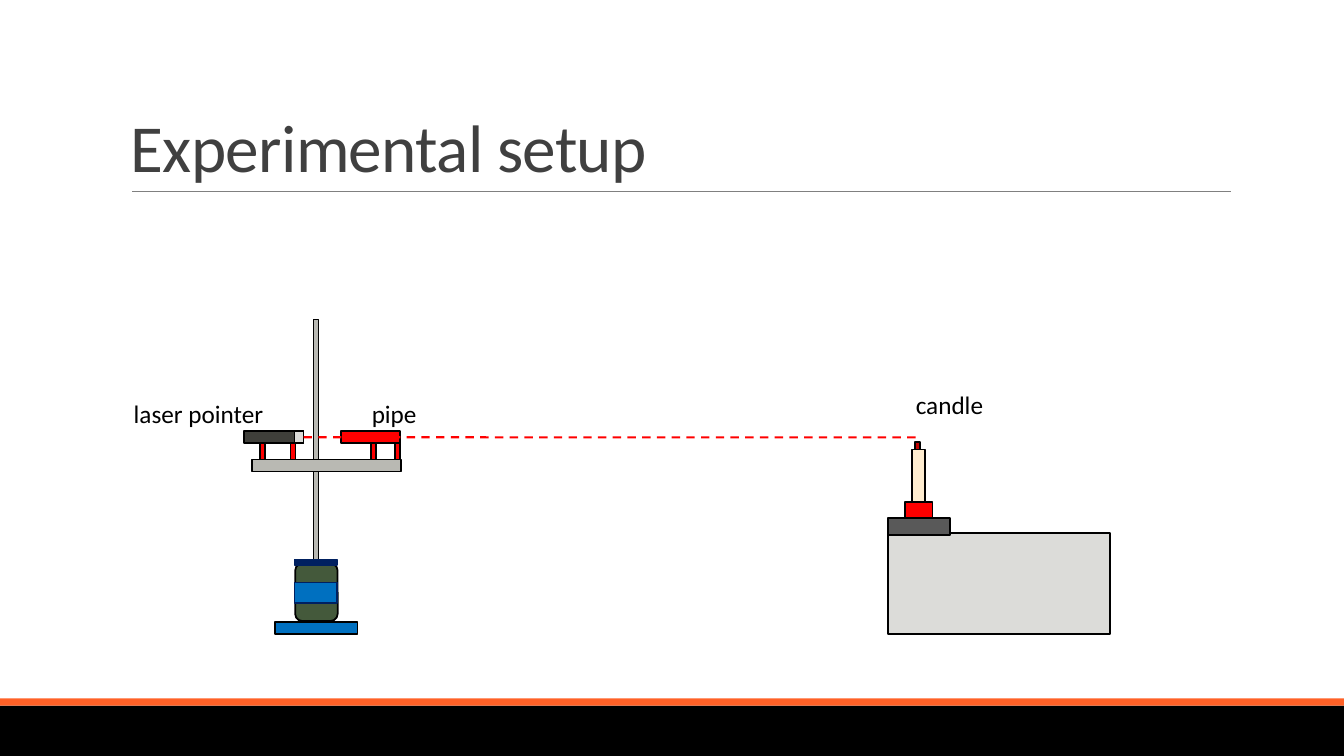
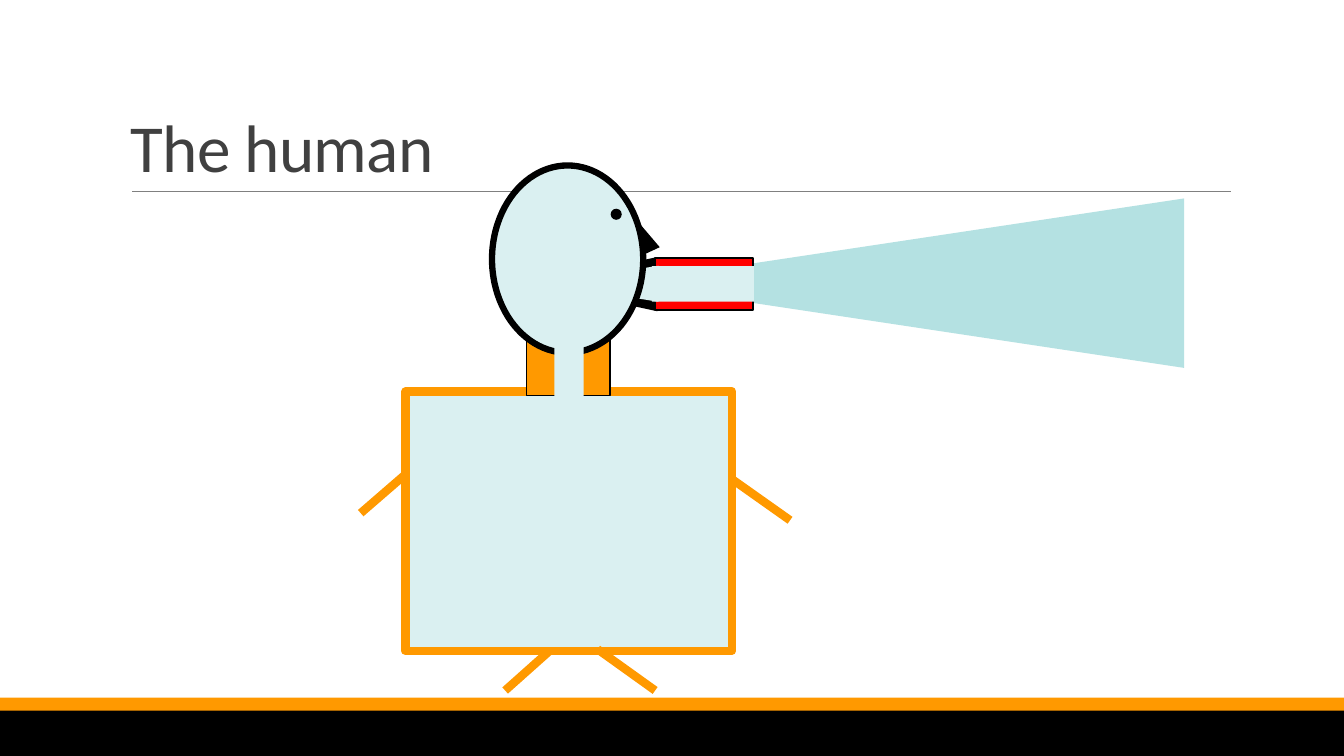
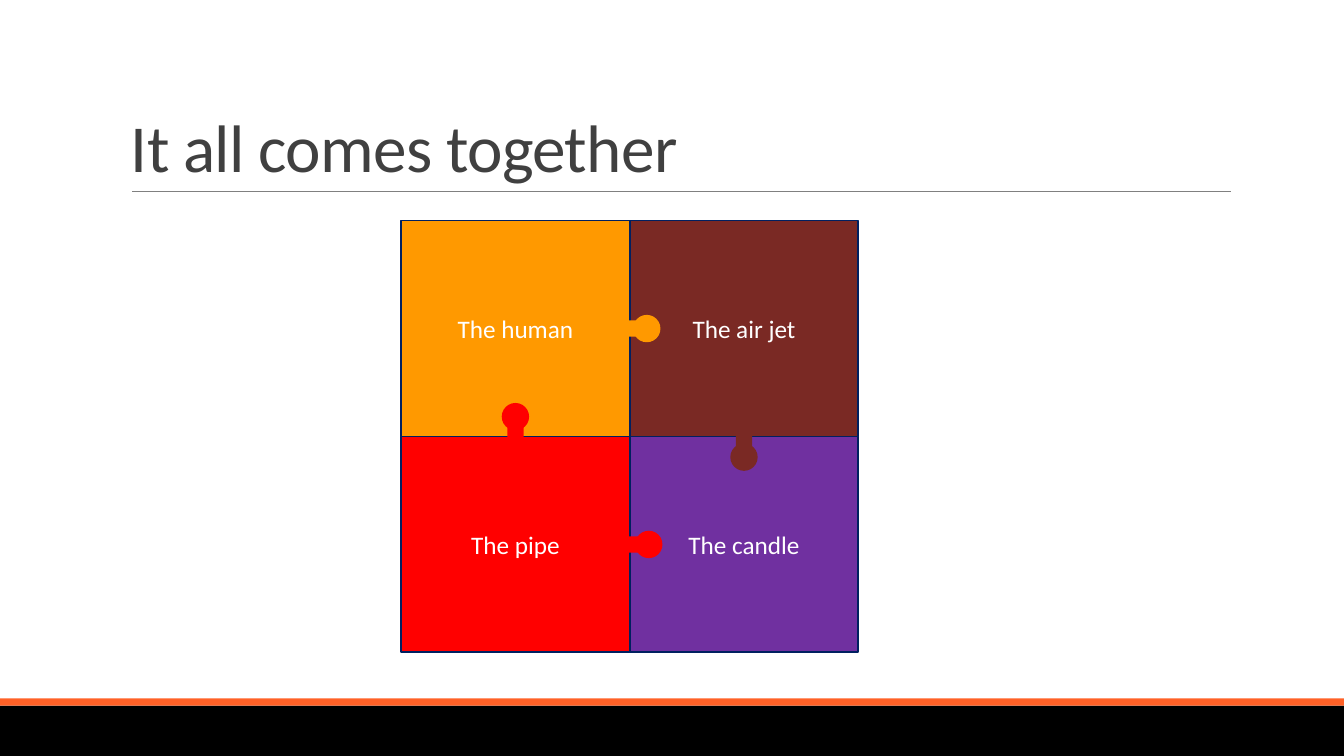
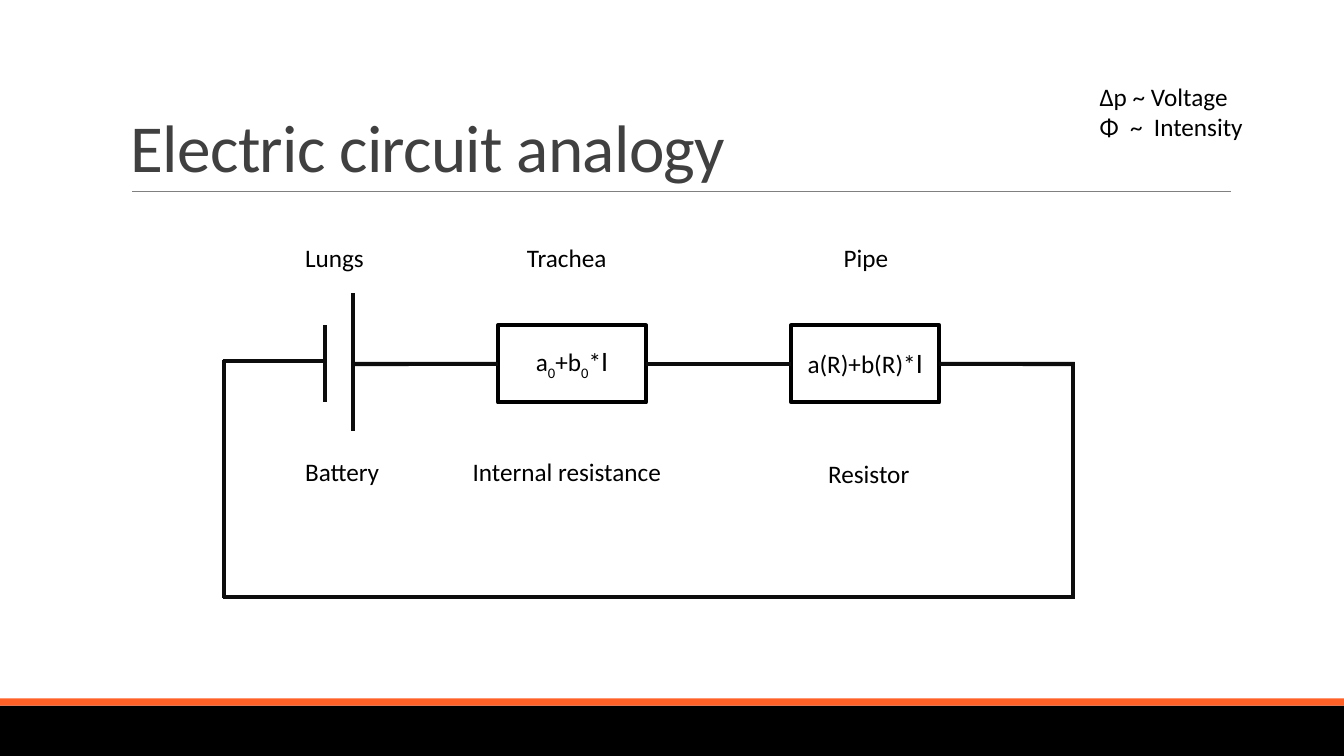
from lxml.etree import SubElement
from pptx import Presentation
from pptx.dml.color import RGBColor
from pptx.enum.dml import MSO_LINE
from pptx.enum.shapes import MSO_CONNECTOR, MSO_SHAPE
from pptx.enum.text import MSO_ANCHOR, PP_ALIGN
from pptx.oxml.ns import qn
from pptx.util import Cm, Pt

BLACK = RGBColor(0x00, 0x00, 0x00)
WHITE = RGBColor(0xFF, 0xFF, 0xFF)
INK = RGBColor(0x40, 0x40, 0x40)
RULE = RGBColor(0x80, 0x80, 0x80)
WIRE = RGBColor(0x0D, 0x0D, 0x0D)
CORAL = RGBColor(0xFF, 0x61, 0x27)
AMBER = RGBColor(0xFF, 0x99, 0x00)
RED = RGBColor(0xFF, 0x00, 0x00)
DEEP = RGBColor(0xC0, 0x00, 0x00)
BROWN = RGBColor(0x7A, 0x29, 0x24)
PURPLE = RGBColor(0x70, 0x30, 0xA0)
BLUE = RGBColor(0x00, 0x70, 0xC0)
NAVY = RGBColor(0x00, 0x20, 0x60)
GREEN = RGBColor(0x44, 0x59, 0x3B)
PALE = RGBColor(0xDC, 0xDC, 0xD9)
STEEL = RGBColor(0xB9, 0xB9, 0xB3)
COAL = RGBColor(0x3F, 0x3F, 0x3A)
SLATE = RGBColor(0x59, 0x59, 0x59)
WAX = RGBColor(0xFF, 0xED, 0xD0)
AIR = RGBColor(0xDA, 0xF0, 0xF1)
JET = RGBColor(0xB4, 0xE1, 0xE2)

RECT = MSO_SHAPE.RECTANGLE
ROUND = MSO_SHAPE.ROUNDED_RECTANGLE
OVAL = MSO_SHAPE.OVAL
TRAP = MSO_SHAPE.TRAPEZOID
PEAK = MSO_SHAPE.ISOSCELES_TRIANGLE

WIDE, HIGH = 33.87, 19.05
LEFT, RIGHT = 1, 3
BODY = {"name": "Calibri", "size": Pt(18)}
HEAD = {"name": "Calibri", "size": Pt(48)}
LATO = {"name": "Lato"}
SUB = -25000


class Deck:
    def __init__(self):
        self.prs = Presentation()
        self.prs.slide_width, self.prs.slide_height = Cm(WIDE), Cm(HIGH)
        self.slide = None

    def start(self, title):
        """Add a slide with its bands, rule and title."""
        self.slide = self.prs.slides.add_slide(self.prs.slide_layouts[6])
        self.shape(0, 17.78, WIDE, 1.27, BLACK, None)
        self.shape(0, 17.6, WIDE, 0.18, CORAL, None)
        self.line((3.33, 4.83), (31.01, 4.83), RULE, 0.5)
        box = self.text(3.05, 0.79, 27.94, 4.04, [title], INK, HEAD)
        box.vertical_anchor = MSO_ANCHOR.BOTTOM
        par = box.paragraphs[0]
        par.line_spacing = 0.85
        par.runs[0]._r.get_or_add_rPr().set("spc", "-50")

    def fill(self, par, parts, ink, style):
        """Fill a paragraph from a string or from (text, style, baseline) parts."""
        if isinstance(parts, str):
            parts = [(parts, {}, 0)]
        for text, extra, base in parts:
            run = par.add_run()
            run.text = text
            for key, value in {**style, **extra}.items():
                setattr(run.font, key, value)
            run.font.color.rgb = ink
            if base:
                run._r.get_or_add_rPr().set("baseline", str(base))

    def text(self, x, y, w, h, lines, ink=BLACK, style=BODY, wrap=True):
        box = self.slide.shapes.add_textbox(Cm(x), Cm(y), Cm(w), Cm(h))
        frame = box.text_frame
        frame.word_wrap = wrap
        for i, parts in enumerate(lines):
            par = frame.add_paragraph() if i else frame.paragraphs[0]
            self.fill(par, parts, ink, style)
        return frame

    def shape(self, x, y, w, h, fill, edge=BLACK, width=1.25, kind=RECT, turn=0):
        item = self.slide.shapes.add_shape(kind, Cm(x), Cm(y), Cm(w), Cm(h))
        item.shadow.inherit = False
        item.rotation = turn
        item.fill.solid()
        item.fill.fore_color.rgb = fill
        if edge is None:
            item.line.fill.background()
        else:
            item.line.color.rgb = edge
            item.line.width = Pt(width)
        return item

    def label(self, item, parts, ink):
        """Centre text inside a shape."""
        frame = item.text_frame
        frame.word_wrap = True
        frame.vertical_anchor = MSO_ANCHOR.MIDDLE
        par = frame.paragraphs[0]
        par.alignment = PP_ALIGN.CENTER
        self.fill(par, parts, ink, BODY)

    def line(self, start, end, ink, width, dash=None, tail=None, head=None):
        """Draw a line; tail and head are (shape, side) joins at start and end."""
        item = self.slide.shapes.add_connector(
            MSO_CONNECTOR.STRAIGHT, *(Cm(n) for n in (*start, *end)))
        SubElement(item._element.spPr, qn("a:effectLst"))
        item.line.color.rgb = ink
        item.line.width = Pt(width)
        if dash:
            item.line.dash_style = dash
        if tail:
            item.begin_connect(*tail)
        if head:
            item.end_connect(*head)

    def tab(self, x, y, dx, dy, reach, fill):
        """Draw a puzzle tab from an edge point towards (dx, dy)."""
        stem = reach - 0.23
        w, h = (0.86, 0.41) if dx else (0.41, 0.86)
        for kind, far, wide, high in ((ROUND, stem, w, h), (OVAL, reach, 0.69, 0.69)):
            self.shape(x + dx * far - wide / 2, y + dy * far - high / 2,
                       wide, high, fill, None, kind=kind)


def setup(deck):
    deck.start("Experimental setup")
    deck.shape(22.38, 13.44, 5.59, 2.54, PALE)
    deck.shape(7.9, 8.05, 0.13, 7.67, STEEL)
    deck.shape(6.35, 11.58, 3.76, 0.3, STEEL)
    deck.shape(6.93, 15.67, 2.08, 0.3, BLUE)
    for x in (6.55, 7.32, 9.35, 9.96):
        deck.shape(x, 11.1, 0.13, 0.48, RED)
    deck.shape(8.59, 10.87, 1.5, 0.3, RED)
    deck.shape(6.15, 10.87, 1.5, 0.3, COAL)
    tip = deck.shape(7.42, 10.87, 0.23, 0.3, PALE)
    deck.line((7.65, 11.02), (23.14, 11.02), RED, 1.5, MSO_LINE.DASH, (tip, RIGHT))

    deck.shape(7.44, 14.2, 1.07, 1.45, GREEN, kind=ROUND)
    deck.shape(7.42, 14.68, 1.07, 0.51, BLUE, NAVY)
    deck.shape(7.42, 14.1, 1.07, 0.13, NAVY, NAVY)

    for x, y, w, name in ((3.12, 9.91, 3.81, "laser pointer"),
                          (9.12, 9.91, 1.65, "pipe"),
                          (22.83, 9.68, 2.24, "candle")):
        deck.text(x, y, w, 1.02, [name], wrap=False)

    deck.shape(22.99, 11.33, 0.33, 2.13, WAX)
    deck.shape(22.81, 12.65, 0.69, 0.79, RED)
    deck.shape(22.38, 13.06, 1.57, 0.43, SLATE)
    deck.shape(23.06, 11.13, 0.13, 0.2, DEEP)


def human(deck):
    deck.start("The human")
    deck.shape(0, 17.58, WIDE, 0.33, AMBER, None)
    deck.shape(15.14, 6.4, 1.32, 1.52, BLACK, kind=TRAP, turn=270)
    deck.shape(20.62, 0.05, 4.27, 14.17, JET, None, kind=PEAK, turn=270)
    deck.shape(16.51, 6.5, 2.46, 1.32, RED)
    deck.shape(16.43, 6.71, 2.57, 0.89, AIR, None)
    deck.shape(15.44, 6.45, 0.91, 1.4, AIR, None, kind=TRAP, turn=270)

    deck.shape(10.22, 9.87, 8.23, 6.53, AIR, AMBER, 6)
    deck.shape(13.27, 8.24, 2.11, 1.73, AMBER)
    deck.shape(12.4, 4.17, 3.81, 4.72, AIR, BLACK, 4.5, OVAL)
    deck.shape(13.97, 8.2, 0.74, 1.8, AIR, None)
    for start, end in (((13.84, 16.41), (12.73, 17.4)),
                       ((15.06, 16.36), (16.51, 17.4)),
                       ((10.21, 11.96), (9.09, 12.93)),
                       ((18.44, 12.07), (19.91, 13.11))):
        deck.line(start, end, AMBER, 6)
    deck.shape(15.39, 5.26, 0.28, 0.28, BLACK, None, kind=OVAL)
    deck.shape(16.08, 5.61, 0.41, 0.74, BLACK, None, kind=PEAK, turn=335.1)


def puzzle(deck):
    deck.start("It all comes together")
    x, y, w, h = 10.11, 5.56, 5.76, 5.44
    tiles = (("The human", AMBER), ("The air jet", BROWN),
             ("The pipe", RED), ("The candle", PURPLE))
    for i, (name, fill) in enumerate(tiles):
        row, col = divmod(i, 2)
        tile = deck.shape(x + col * w, y + row * h, w, h, fill, NAVY)
        deck.label(tile, name, WHITE)
    midx, midy = x + w, y + h
    deck.tab(x + w / 2, midy, 0, -1, 0.5, RED)
    deck.tab(midx, midy + h / 2, 1, 0, 0.48, RED)
    deck.tab(midx + w / 2, midy, 0, 1, 0.52, BROWN)
    deck.tab(midx, y + h / 2, 1, 0, 0.43, AMBER)


def circuit(deck):
    deck.start("Electric circuit analogy")
    boxes = []
    for x, parts in (
            (12.55, [("a", {}, 0), ("0", {}, SUB), ("+b", {}, 0),
                     ("0", {}, SUB), ("*", {}, 0), ("I", LATO, 0)]),
            (19.94, [("a(R)+b(R)*", {}, 0), ("I", LATO, 0)])):
        box = deck.shape(x, 8.2, 3.73, 1.94, WHITE, BLACK, 3)
        deck.label(box, parts, BLACK)
        boxes.append(box)
    inner, outer = boxes

    mid = 9.17
    deck.line((8.89, mid), (12.55, mid), WIRE, 3, head=(inner, LEFT))
    deck.line((16.28, mid), (19.94, mid), WIRE, 3,
              tail=(inner, RIGHT), head=(outer, LEFT))
    deck.line((23.67, mid), (27.08, mid), WIRE, 3, tail=(outer, RIGHT))
    for start, end in (((8.89, 7.39), (8.89, 10.87)),
                       ((8.2, 8.2), (8.2, 10.13)),
                       ((27.05, 9.12), (27.05, 15.06)),
                       ((5.64, 9.07), (5.64, 15.06)),
                       ((5.61, 15.04), (27.08, 15.04)),
                       ((5.61, 9.09), (8.2, 9.09))):
        deck.line(start, end, WIRE, 3)

    for x, y, w, name in ((7.44, 5.97, 3.28, "Lungs"),
                          (13.03, 5.97, 3.28, "Trachea"),
                          (21.01, 5.99, 3.28, "Pipe"),
                          (7.44, 11.38, 3.28, "Battery"),
                          (11.66, 11.38, 5.54, "Internal resistance"),
                          (20.62, 11.43, 5.54, "Resistor")):
        deck.text(x, y, w, 1.02, [name])
    deck.text(27.46, 1.93, 4.19, 1.8, ["Δp ~ Voltage", "Φ  ~  Intensity"])


def main():
    deck = Deck()
    for build in (setup, human, puzzle, circuit):
        build(deck)
    deck.prs.save("out.pptx")


if __name__ == "__main__":
    main()
